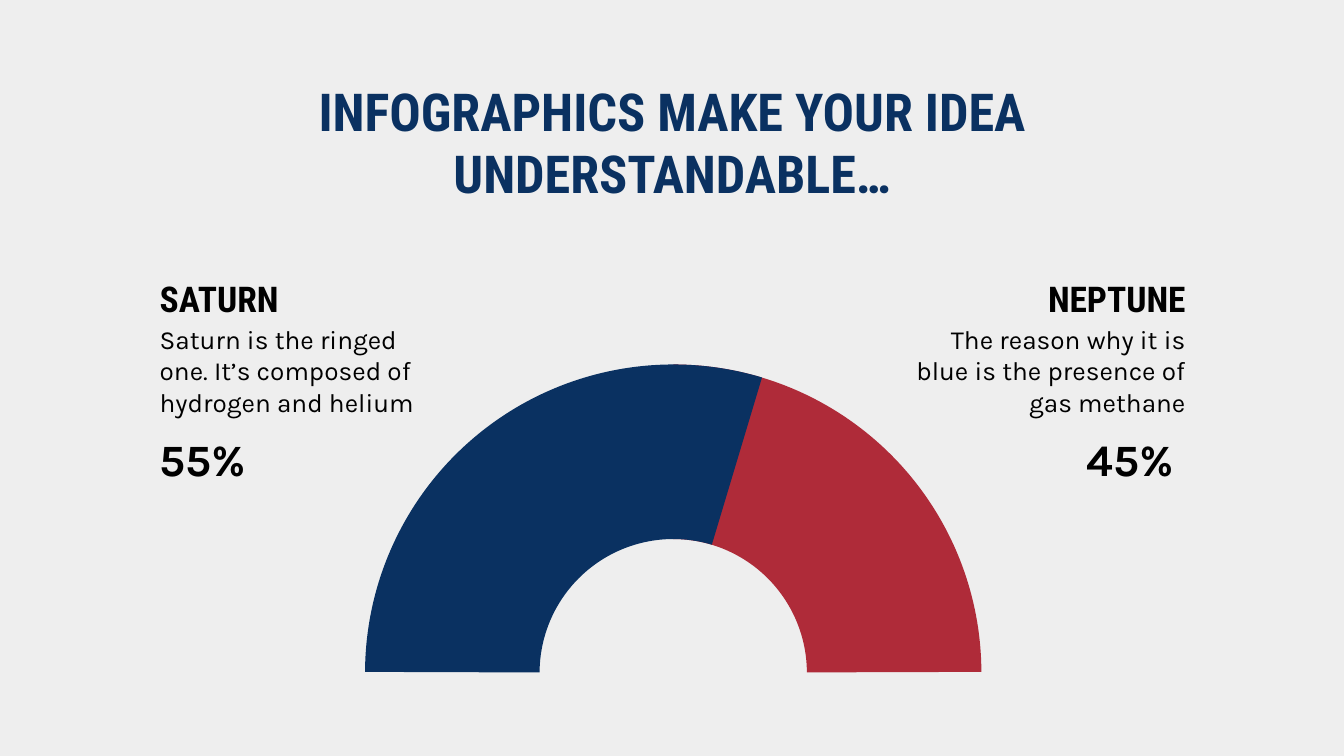
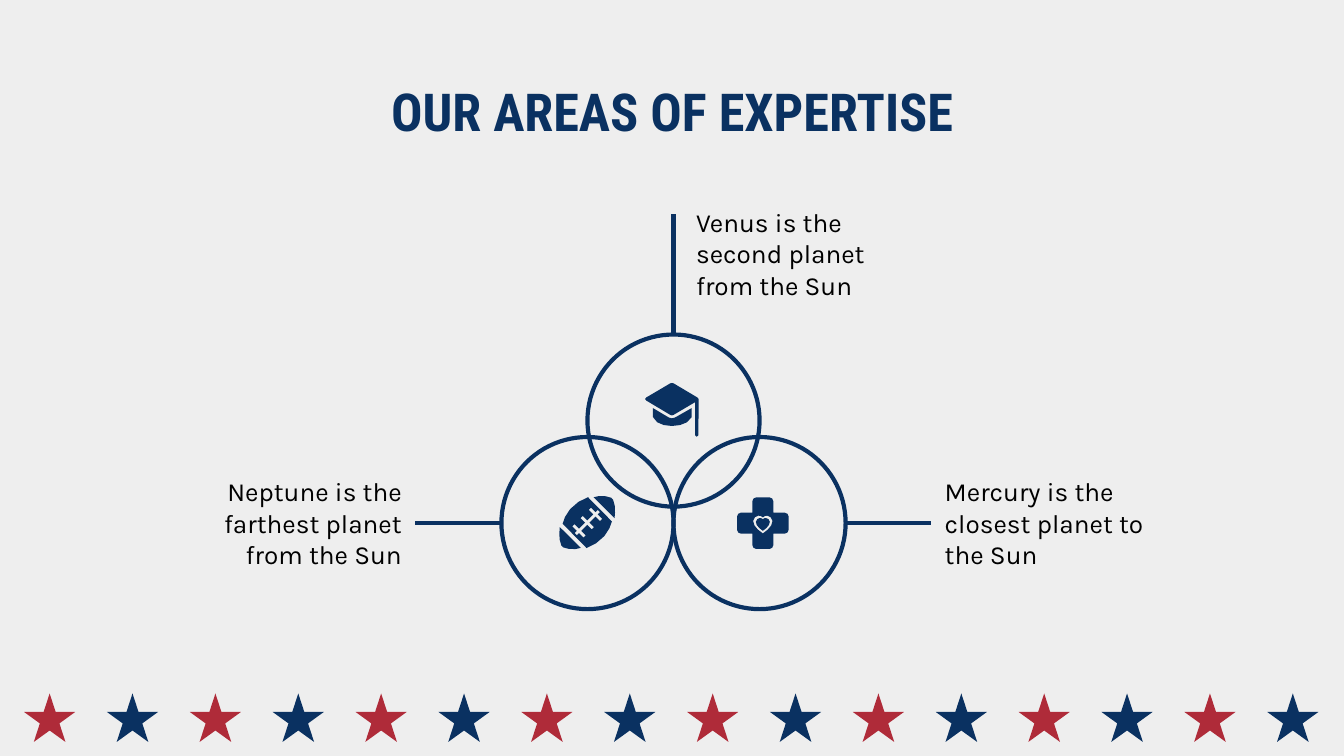
"""Builds two patriotic infographic slides: a half-ring share diagram and areas of expertise."""
from lxml import etree
from pptx import Presentation
from pptx.dml.color import RGBColor
from pptx.enum import shapes, text
from pptx.oxml import ns
from pptx.util import Pt

NAVY = RGBColor(0x0A, 0x31, 0x61)
RED = RGBColor(0xAF, 0x2B, 0x39)
BLACK = RGBColor(0, 0, 0)
PAPER = RGBColor(0xEE, 0xEE, 0xEE)
HEADING_FONT = "Roboto Condensed"
BODY_FONT = "Karla"
LEFT, CENTER, RIGHT = text.PP_ALIGN.LEFT, text.PP_ALIGN.CENTER, text.PP_ALIGN.RIGHT
TOP, MIDDLE = text.MSO_ANCHOR.TOP, text.MSO_ANCHOR.MIDDLE


def write_text(shape, words, size, font, bold, align, color=BLACK, anchor=MIDDLE):
    frame = shape.text_frame
    frame.word_wrap = True
    frame.auto_size = text.MSO_AUTO_SIZE.NONE
    frame.vertical_anchor = anchor
    frame.margin_left = frame.margin_right = Pt(7.2)
    frame.margin_top = frame.margin_bottom = Pt(7.2)
    paragraph = frame.paragraphs[0]
    paragraph.alignment = align
    run = paragraph.add_run()
    run.text = words
    run.font.size = Pt(size)
    run.font.name = font
    run.font.bold = bold
    run.font.color.rgb = color


def paint(shape, color):
    shape.shadow.inherit = False
    shape.fill.solid()
    shape.fill.fore_color.rgb = color
    shape.line.fill.background()


presentation = Presentation()
presentation.slide_width = Pt(720)
presentation.slide_height = Pt(405)
master_fill = presentation.slide_master.background.fill
master_fill.solid()
master_fill.fore_color.rgb = PAPER

slides = []
for heading in ("INFOGRAPHICS MAKE YOUR IDEA UNDERSTANDABLE…", "OUR AREAS OF EXPERTISE"):
    slide = presentation.slides.add_slide(presentation.slide_layouts[5])
    title = slide.shapes.title
    title.left, title.top, title.width, title.height = Pt(56.7), Pt(35.1), Pt(606.6), Pt(45.1)
    write_text(title, heading, 28, HEADING_FONT, True, CENTER, NAVY, TOP)
    slides.append(slide)
share_slide, expertise_slide = slides

for arc_left, arc_end, color, flipped in (
    (195.4, 269.95, RED, True),
    (195.6, 286.69, NAVY, False),
):
    arc = share_slide.shapes.add_shape(
        shapes.MSO_SHAPE.BLOCK_ARC, Pt(arc_left), Pt(195.3), Pt(330.4), Pt(330.4)
    )
    arc.adjustments[0] = 180.18 * 0.6
    arc.adjustments[1] = arc_end * 0.6
    arc.adjustments[2] = 28.3 / 100
    paint(arc, color)
    if flipped:
        arc.element.spPr.get_or_add_xfrm().set("flipH", "1")

heading_style = (19, HEADING_FONT, True)
body_style = (14, BODY_FONT, False)
percent_style = (24, BODY_FONT, True)
for slide, left, top, width, height, words, style, align in (
    (share_slide, 481.7, 145.4, 160.6, 28.8, "NEPTUNE", heading_style, RIGHT),
    (share_slide, 481.7, 172.1, 160.6, 52.6,
     "The reason why it is blue is the presence of gas methane", body_style, RIGHT),
    (share_slide, 78.5, 145.4, 160.6, 28.8, "SATURN", heading_style, LEFT),
    (share_slide, 78.5, 172.1, 160.6, 52.6,
     "Saturn is the ringed one. It’s composed of hydrogen and helium", body_style, LEFT),
    (share_slide, 78.5, 231.1, 80.6, 28.8, "55%", percent_style, LEFT),
    (share_slide, 555.1, 231.1, 80.6, 28.8, "45%", percent_style, RIGHT),
    (expertise_slide, 365.8, 112.8, 136.1, 46.1,
     "Venus is the second planet from the Sun", body_style, LEFT),
    (expertise_slide, 499, 257, 136.1, 46.1,
     "Mercury is the closest planet to the Sun", body_style, LEFT),
    (expertise_slide, 86.4, 257, 136.1, 46.1,
     "Neptune is the farthest planet from the Sun", body_style, RIGHT),
):
    box = slide.shapes.add_textbox(Pt(left), Pt(top), Pt(width), Pt(height))
    write_text(box, words, *style, align)

radius = 46.1
for center_x, center_y, start, end in (
    (406.9, 280.2, (453, 280.2), (499, 280.2)),
    (314.7, 280.2, (268.6, 280.2), (222.5, 280.2)),
    (360.8, 225.3, (360.8, 179.2), (360.8, 114.5)),
):
    circle = expertise_slide.shapes.add_shape(
        shapes.MSO_SHAPE.OVAL,
        Pt(center_x - radius), Pt(center_y - radius), Pt(2 * radius), Pt(2 * radius),
    )
    circle.shadow.inherit = False
    circle.fill.background()
    connector = expertise_slide.shapes.add_connector(
        shapes.MSO_CONNECTOR.STRAIGHT, Pt(start[0]), Pt(start[1]), Pt(end[0]), Pt(end[1])
    )
    if start[0] == center_x:
        connector.begin_connect(circle, 0)
    for outlined in (circle, connector):
        outlined.line.color.rgb = NAVY
        outlined.line.width = Pt(2.25)
    etree.SubElement(connector.element.spPr, ns.qn("a:effectLst"))

cap_bowl = [
    (4.2, 13.4), (4.2, 18.2), (6.5, 21), (10, 22.5), (14.4, 23), (18.8, 22.5),
    (22.5, 21), (25, 18.2), (25, 13.4), (16, 18.5), (14.4, 18.9), (12.8, 18.5),
]
cap_board = [
    (14.4, 0), (13.5, 0.2), (0.6, 7.8), (0, 8.6), (0.6, 9.4), (13.5, 17.1),
    (14.4, 17.4), (15.3, 17.1), (26.8, 10.3), (26.8, 28), (27.7, 28.8),
    (28.6, 28), (28.7, 8.6), (28.1, 7.8), (15.3, 0.2),
]

ball_tip = [
    (18, 0.8), (20.9, 0.2), (24.5, 0.3), (27.5, 1.1),
    (28.5, 2.2), (29.4, 5.5), (29.5, 9), (29.3, 12),
]
opposite_tip = [(29.2 - x, 28.8 - y) for x, y in ball_tip]
ball_body = [(15, 0.8), (9.9, 3.3), (5.4, 7.2), (2.7, 11.4), (1.4, 15)]
ball_body += [(29.2 - x, 28.8 - y) for x, y in ball_body]
lace_side = [(6.2, 0.6)]
for bar in (4.4, 0, -4.4):
    lace_side += [(bar + 0.6, 0.6), (bar + 0.6, 3), (bar - 0.6, 3), (bar - 0.6, 0.6)]
lace_side.append((-6.2, 0.6))
laces = [(14.6 + along + across, 14.4 - along + across) for along, across in lace_side]
laces += [(29.2 - x, 28.8 - y) for x, y in laces]

arm = [(8.2, 8.2), (8.2, 2), (8.8, 0.6), (10.2, 0), (17.4, 0), (18.8, 0.6), (19.4, 2)]
cross = []
for turn in range(4):
    cross += arm
    arm = [(27.6 - y, x) for x, y in arm]
heart = [
    (13.8, 10.7), (15, 9.9), (16.2, 9.8), (18, 10.6),
    (19, 12.6), (18.3, 15), (16.5, 17.2), (13.8, 19.3),
]
heart += [(27.6 - x, y) for x, y in heart[-2:0:-1]]
inner_heart = [(13.8 + (x - 13.8) * 0.72, 14.2 + (y - 14.2) * 0.72) for x, y in heart]

for icon_left, icon_top, outlines in (
    (345.6, 205.2, [[cap_bowl], [cap_board]]),
    (300, 265.6, [[ball_tip], [opposite_tip], [ball_body, laces]]),
    (394.9, 266.5, [[inner_heart], [cross, heart]]),
):
    icon = expertise_slide.shapes.add_group_shape()
    for contours in outlines:
        builder = None
        for contour in contours:
            points = [(Pt(icon_left + x), Pt(icon_top + y)) for x, y in contour]
            if builder is None:
                builder = icon.shapes.build_freeform(*points[0])
            else:
                builder.move_to(*points[0])
            builder.add_line_segments(points[1:], close=True)
        paint(builder.convert_to_shape(), NAVY)

star_band = expertise_slide.shapes.add_group_shape()
for index in range(16):
    star = star_band.shapes.add_shape(
        shapes.MSO_SHAPE.STAR_5_POINT, Pt(12.9 + 44.4 * index), Pt(371.5), Pt(27.4), Pt(26)
    )
    paint(star, NAVY if index % 2 else RED)

presentation.save("out.pptx")
